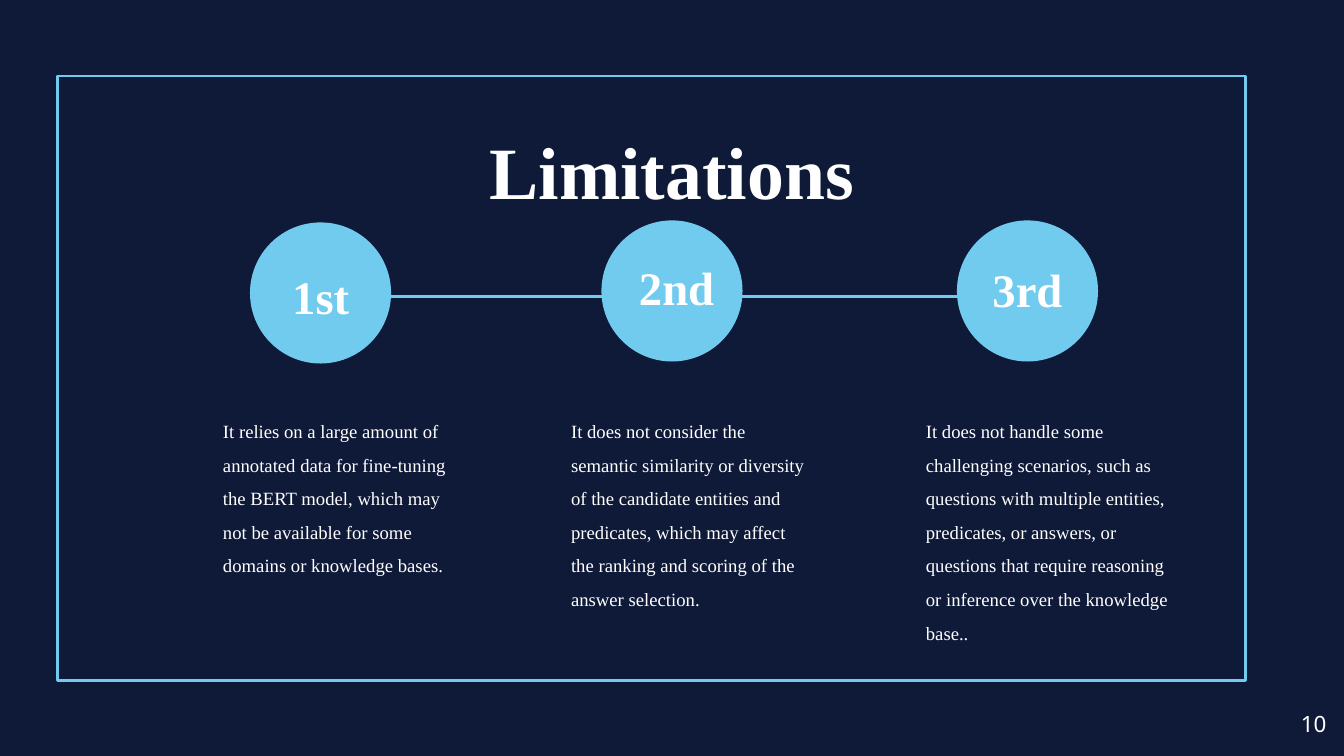
from dataclasses import dataclass

from lxml.etree import SubElement
from pptx import Presentation
from pptx.dml.color import RGBColor
from pptx.enum.shapes import MSO_CONNECTOR as Connector, MSO_SHAPE as Preset
from pptx.enum.text import MSO_AUTO_SIZE as AutoSize, PP_ALIGN as Align
from pptx.oxml.ns import qn
from pptx.slide import Slide
from pptx.util import Emu, Inches, Pt

COLUMNS, ROWS = 20, 11.25
SLIDE_WIDTH, SLIDE_HEIGHT = Inches(20), Inches(11.25)
NAVY, SKY, WHITE = "0F1A38", "71CBEF", "FFFFFF"
SERIF, SANS = "Times New Roman", "Noto Sans"
DISC = 2.1


@dataclass(frozen=True)
class Area:
    column: float
    row: float
    columns: float
    rows: float

    def lengths(self) -> tuple[Emu, Emu, Emu, Emu]:
        return across(self.column), down(self.row), across(self.columns), down(self.rows)


@dataclass(frozen=True)
class Style:
    size: float
    font: str = SERIF
    bold: bool = False
    align: Align = Align.LEFT
    spacing: float = 1.0
    inset: float = 0.1
    indent: float = 0
    grow: bool = False


@dataclass(frozen=True)
class Limitation:
    ordinal: str
    disc_column: float
    disc_row: float
    ordinal_area: Area
    detail: str
    detail_area: Area


HEADING = Style(79, bold=True, align=Align.CENTER, spacing=1.2, inset=0, grow=True)
ORDINAL = Style(50, bold=True)
DETAIL = Style(20, spacing=1.5, indent=0.5)
PAGE_NUMBER = Style(24, font=SANS, align=Align.RIGHT, inset=0.18)

LIMITATIONS = [
    Limitation(
        "1st", 3.72, 3.31, Area(4.25, 3.88, 1.24, 1.33),
        "It relies on a large amount of annotated data for fine-tuning the BERT model, "
        "which may not be available for some domains or knowledge bases.",
        Area(2.72, 5.98, 4.2, 3.83),
    ),
    Limitation(
        "2nd", 8.95, 3.28, Area(9.41, 3.75, 1.33, 1.33),
        "It does not consider the semantic similarity or diversity of the candidate entities "
        "and predicates, which may affect the ranking and scoring of the answer selection.",
        Area(7.9, 5.98, 4.2, 3.64),
    ),
    Limitation(
        "3rd", 14.24, 3.28, Area(14.67, 3.78, 1.33, 1.33),
        "It does not handle some challenging scenarios, such as questions with multiple "
        "entities, predicates, or answers, or questions that require reasoning or inference "
        "over the knowledge base..",
        Area(13.18, 5.98, 4.47, 3.83),
    ),
]


def across(columns: float) -> Emu:
    return Emu(round(SLIDE_WIDTH * columns / COLUMNS))


def down(rows: float) -> Emu:
    return Emu(round(SLIDE_HEIGHT * rows / ROWS))


def colour(value: str) -> RGBColor:
    return RGBColor.from_string(value)


def draw_frame(slide: Slide, area: Area) -> None:
    frame = slide.shapes.add_shape(Preset.RECTANGLE, *area.lengths())
    frame.shadow.inherit = False
    frame.fill.background()
    frame.line.color.rgb = colour(SKY)
    frame.line.width = Pt(3)


def draw_timeline(slide: Slide, start: float, end: float, row: float) -> None:
    timeline = slide.shapes.add_connector(
        Connector.STRAIGHT, across(start), down(row), across(end), down(row)
    )
    timeline.line.color.rgb = colour(SKY)
    timeline.line.width = Pt(3.75)
    SubElement(timeline._element.spPr, qn("a:effectLst"))


def draw_disc(slide: Slide, column: float, row: float) -> None:
    disc = slide.shapes.add_shape(Preset.OVAL, *Area(column, row, DISC, DISC).lengths())
    disc.shadow.inherit = False
    disc.fill.solid()
    disc.fill.fore_color.rgb = colour(SKY)
    disc.line.fill.background()


def write(slide: Slide, text: str, area: Area, style: Style) -> None:
    frame = slide.shapes.add_textbox(*area.lengths()).text_frame
    frame.word_wrap = True
    frame.auto_size = AutoSize.SHAPE_TO_FIT_TEXT if style.grow else AutoSize.NONE
    frame.margin_left = frame.margin_right = across(style.inset)
    frame.margin_top = frame.margin_bottom = down(style.inset)
    paragraph = frame.paragraphs[0]
    paragraph.text = text
    paragraph.alignment = style.align
    paragraph.line_spacing = style.spacing
    if style.indent:
        properties = paragraph._p.get_or_add_pPr()
        properties.set("marL", str(across(style.indent)))
        properties.set("indent", "0")
    paragraph.font.name = style.font
    paragraph.font.size = Pt(style.size)
    paragraph.font.bold = style.bold
    paragraph.font.color.rgb = colour(WHITE)


def main() -> None:
    deck = Presentation()
    deck.slide_width, deck.slide_height = SLIDE_WIDTH, SLIDE_HEIGHT
    slide = deck.slides.add_slide(deck.slide_layouts[6])
    slide.background.fill.solid()
    slide.background.fill.fore_color.rgb = colour(NAVY)

    draw_frame(slide, Area(0.85, 1.13, 17.69, 9))
    draw_timeline(slide, 3.89, 16.14, 4.41)
    for limitation in LIMITATIONS:
        draw_disc(slide, limitation.disc_column, limitation.disc_row)
    write(slide, "Limitations", Area(1.12, 1.61, 17.75, 1.33), HEADING)
    for limitation in LIMITATIONS:
        write(slide, limitation.detail, limitation.detail_area, DETAIL)
        write(slide, limitation.ordinal, limitation.ordinal_area, ORDINAL)
    write(slide, "10", Area(18.72, 10.39, 1.2, 0.86), PAGE_NUMBER)

    deck.save("out.pptx")


if __name__ == "__main__":
    main()
